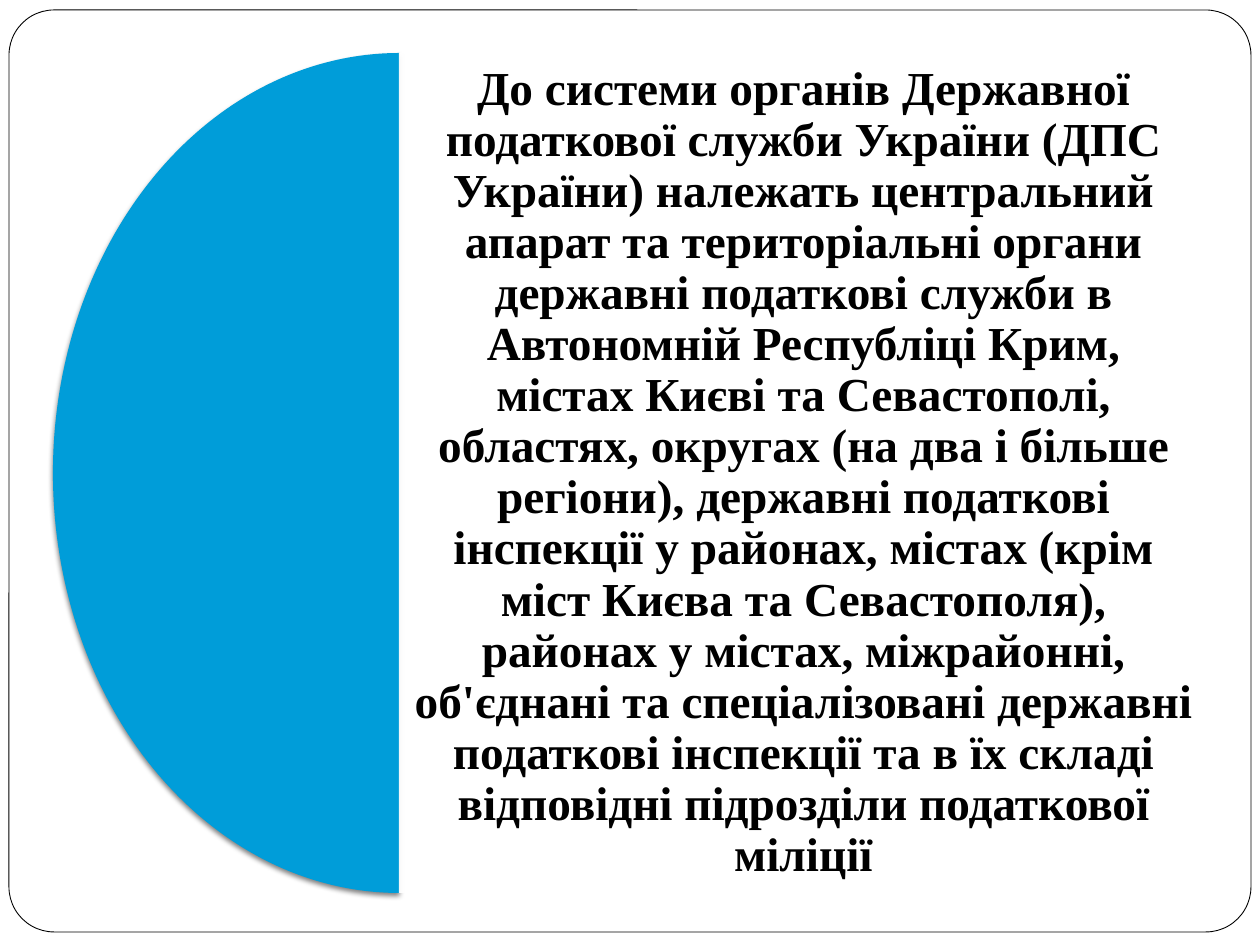
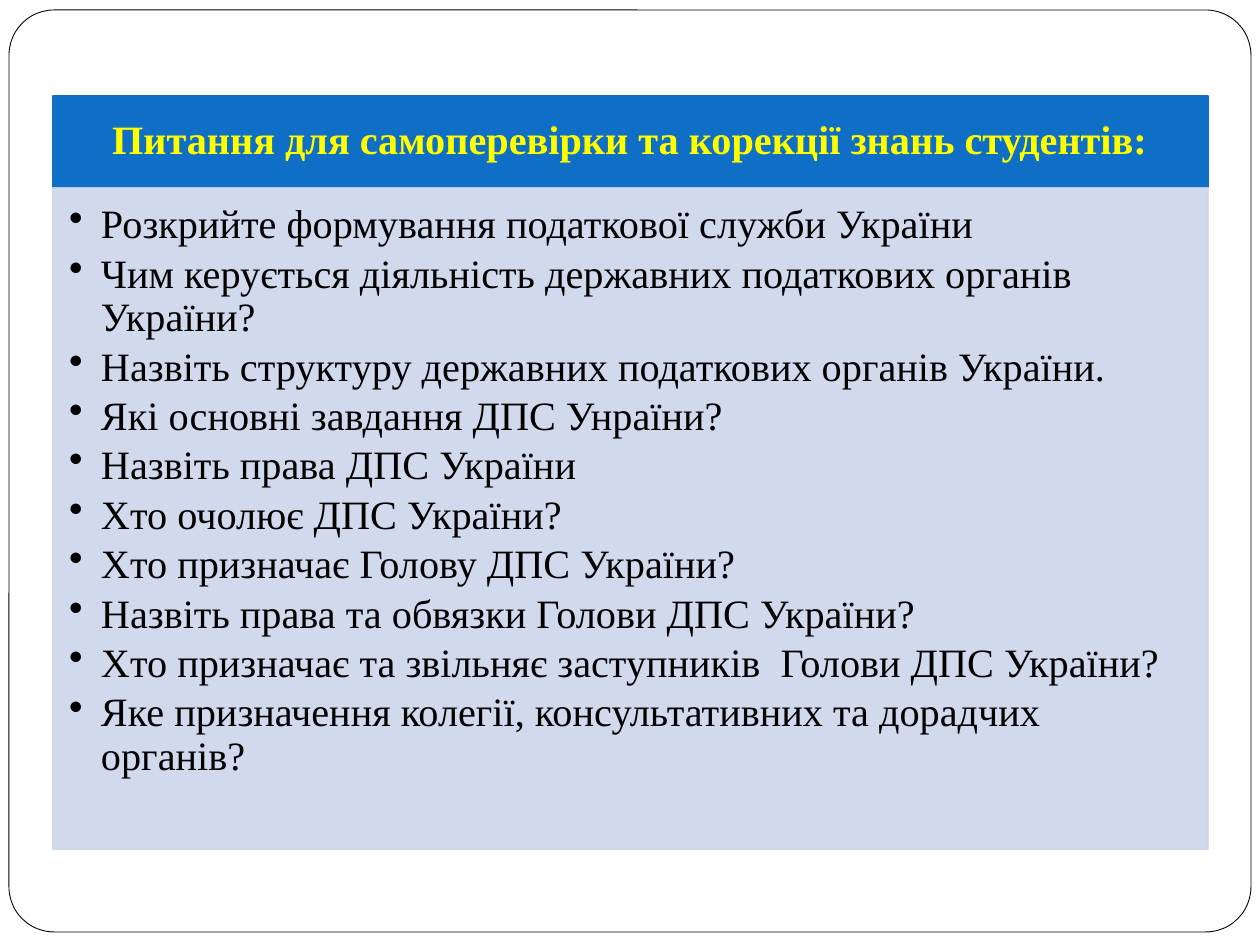
from lxml import etree
from pptx import Presentation
from pptx.dml.color import RGBColor
from pptx.enum.shapes import MSO_SHAPE as Preset
from pptx.enum.text import MSO_ANCHOR as Anchor, PP_ALIGN as Align
from pptx.oxml.ns import qn
from pptx.util import Emu, Pt

PIXEL = 914400 // 126
FONT = "Times New Roman"
COLORS = {"white": "FFFFFF", "black": "000000", "disc": "009DD9",
          "header": "0F6FC6", "panel": "CCD5EA", "yellow": "FFFF00"}
OPACITY = "90000"

SYSTEM_TEXT = (
    "До системи органів Державної податкової служби України (ДПС України) "
    "належать центральний апарат та територіальні органи державні податкові "
    "служби в Автономній Республіці Крим, містах Києві та Севастополі, "
    "областях, округах (на два і більше регіони), державні податкові інспекції "
    "у районах, містах (крім міст Києва та Севастополя), районах у містах, "
    "міжрайонні, об'єднані та спеціалізовані державні податкові інспекції та "
    "в їх складі відповідні підрозділи податкової міліції")
HEADING = "Питання для самоперевірки та корекції знань студентів:"
QUESTIONS = [
    "Розкрийте формування податкової служби України",
    "Чим керується діяльність державних податкових органів України?",
    "Назвіть структуру державних податкових органів України.",
    "Які основні завдання ДПС Унраїни?",
    "Назвіть права ДПС України",
    "Хто очолює ДПС України?",
    "Хто призначає Голову ДПС України?",
    "Назвіть права та обвязки Голови ДПС України?",
    "Хто призначає та звільняє заступників  Голови ДПС України?",
    "Яке призначення колегії, консультативних та дорадчих органів?",
]


def style_shape(shape, place, fill, line=None, width=1, translucent=False):
    """Place a shape and give it its fill and outline."""
    shape.left, shape.top, shape.width, shape.height = [Emu(n * PIXEL) for n in place]
    shape.fill.solid()
    shape.fill.fore_color.rgb = RGBColor.from_string(COLORS[fill])
    if line:
        shape.line.color.rgb = RGBColor.from_string(COLORS[line])
        shape.line.width = Pt(width)
    else:
        shape.line.fill.background()
    if translucent:
        for color in shape._element.spPr.iter(qn("a:srgbClr")):
            etree.SubElement(color, qn("a:alpha"), val=OPACITY)
    return shape


def write_text(shape, texts, size, color, insets, bold=False,
               align=Align.CENTER, anchor=Anchor.MIDDLE):
    """Write one paragraph per text and return the paragraphs."""
    frame = shape.text_frame
    frame.word_wrap = True
    frame.vertical_anchor = anchor
    (frame.margin_left, frame.margin_top,
     frame.margin_right, frame.margin_bottom) = [Emu(n * PIXEL) for n in insets]
    for index, text in enumerate(texts):
        para = frame.add_paragraph() if index else frame.paragraphs[0]
        para.text = text
        para.alignment = align
        para.line_spacing = 0.9
        para.font.name, para.font.size, para.font.bold = FONT, Pt(size), bold
        para.font.color.rgb = RGBColor.from_string(COLORS[color])
    return frame.paragraphs


deck = Presentation()
deck.slide_width, deck.slide_height = Emu(1260 * PIXEL), Emu(945 * PIXEL)
title_only, blank = deck.slide_layouts[5], deck.slide_layouts[6]

# Slide 1: the tax service system
page = deck.slides.add_slide(blank)

# Rounded frame, moved to the master so that both slides share it
border = page.shapes.add_shape(Preset.ROUNDED_RECTANGLE, 0, 0, 0, 0)
style_shape(border, (9, 10, 1242, 922), "white", "black", 0.5)
border.adjustments[0] = 0.049
border.shadow.inherit = False
border._element.nvSpPr.cNvPr.set("id", "100")
deck.slide_master.shapes._spTree.insert(2, border._element)

# Half disc with a soft shadow below
disc = page.shapes.add_shape(Preset.PIE, 0, 0, 0, 0)
style_shape(disc, (53, 53, 693, 840), "disc")
disc.adjustments[0], disc.adjustments[1] = 54, 162
disc.shadow.inherit = False
effects = disc._element.spPr.find(qn("a:effectLst"))
shadow = etree.SubElement(effects, qn("a:outerShdw"), blurRad=str(Pt(3)),
                          dist=str(Pt(2)), dir="5400000", rotWithShape="0")
shade = etree.SubElement(shadow, qn("a:srgbClr"), val=COLORS["black"])
etree.SubElement(shade, qn("a:alpha"), val="50000")

# Statement beside the disc
statement = page.shapes.add_shape(Preset.RECTANGLE, 0, 0, 0, 0)
style_shape(statement, (399, 53, 809, 840), "white", translucent=True)
statement.shadow.inherit = False
write_text(statement, [SYSTEM_TEXT], 27, "black", (14, 14, 14, 14), bold=True)

# Slide 2: questions for self-checking
page = deck.slides.add_slide(title_only)
heading = style_shape(page.shapes.title, (53, 96, 1155, 91), "header", "header")
write_text(heading, [HEADING], 23, "yellow", (23, 13, 23, 13), bold=True)

panel = page.shapes.add_shape(Preset.RECTANGLE, 0, 0, 0, 0)
style_shape(panel, (53, 188, 1155, 661), "panel", "panel", translucent=True)
panel.shadow.inherit = False
questions = write_text(panel, QUESTIONS, 23, "black", (16, 16, 23, 25),
                       align=Align.LEFT, anchor=Anchor.TOP)
for para in questions:
    para.space_after = Pt(3.4)
    props = para._p.get_or_add_pPr()
    props.set("marL", str(32 * PIXEL))
    props.set("indent", str(-32 * PIXEL))
    bullet = etree.Element(qn("a:buChar"), char="•")
    props.insert_element_before(bullet, "a:tabLst", "a:defRPr", "a:extLst")

deck.save("out.pptx")
